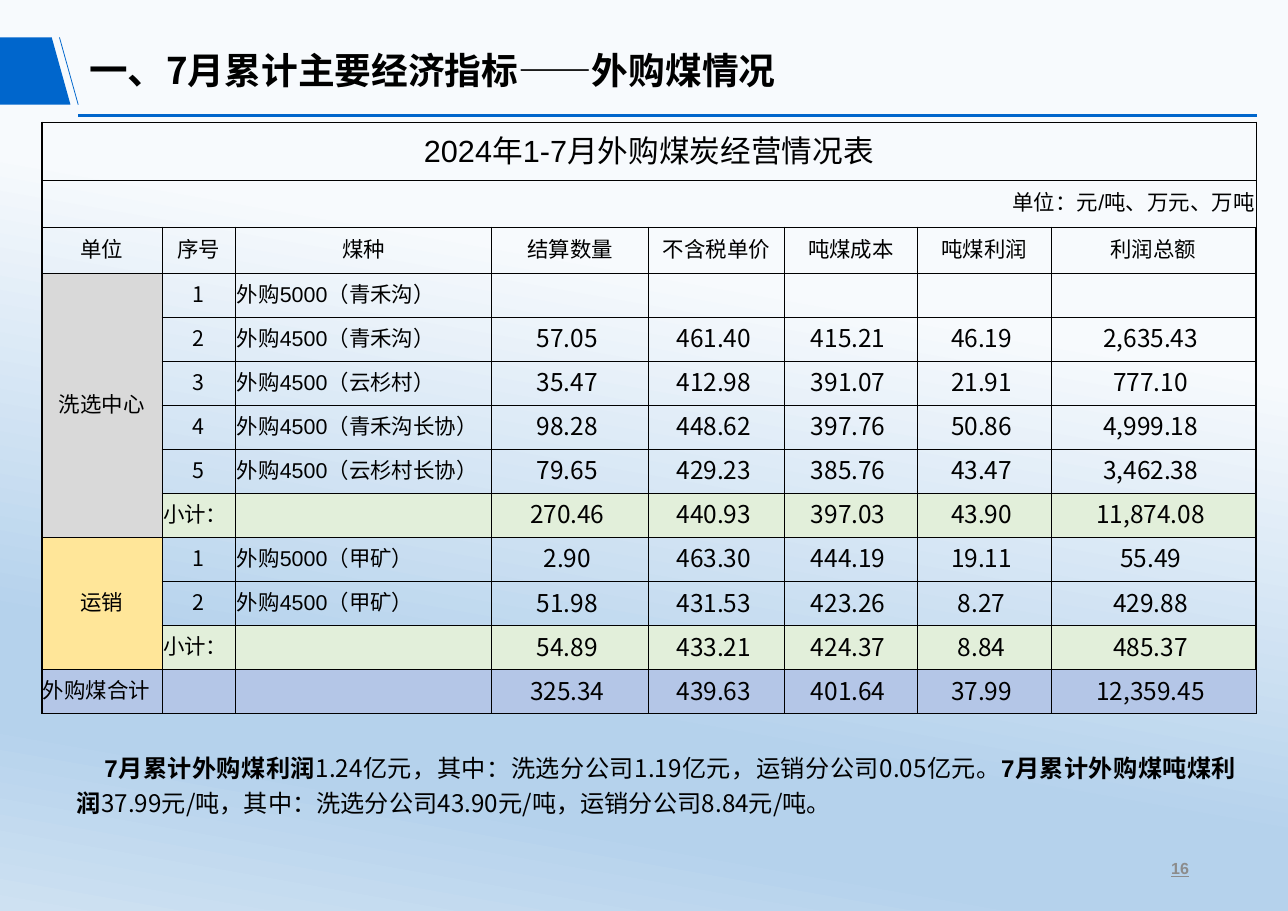
"""Builds the slide on purchased coal results for January to July 2024."""
from lxml.etree import SubElement
from pptx import Presentation
from pptx.dml.color import RGBColor
from pptx.enum.shapes import MSO_CONNECTOR
from pptx.enum.text import MSO_ANCHOR, PP_ALIGN
from pptx.oxml.ns import qn
from pptx.util import Inches, Pt

COLORS = {
    "black": "000000", "blue": "0066CC", "page": "8C8C8C", "washing": "D9D9D9",
    "transport": "FFE699", "subtotal": "E2EFDA", "total": "B4C6E7",
}
BACKGROUND_STOPS = [(33, "F7FAFD"), (74, "B5D2EC"), (83, "B5D2EC"), (100, "CEE1F2")]
LATIN, CHINESE = "Arial", "Noto Sans CJK SC"
COLUMN_WIDTHS = [1.09, 0.67, 2.32, 1.43, 1.23, 1.21, 1.21, 1.86]
ROW_HEIGHTS = [0.53, 0.42, 0.42] + [0.4] * 10
TABLE_ROWS = [
    ["2024年1-7月外购煤炭经营情况表"],
    ["单位：元/吨、万元、万吨"],
    ["单位", "序号", "煤种", "结算数量", "不含税单价", "吨煤成本", "吨煤利润", "利润总额"],
    ["洗选中心", "1", "外购5000（青禾沟）"],
    ["", "2", "外购4500（青禾沟）", "57.05", "461.40", "415.21", "46.19", "2,635.43"],
    ["", "3", "外购4500（云杉村）", "35.47", "412.98", "391.07", "21.91", "777.10"],
    ["", "4", "外购4500（青禾沟长协）", "98.28", "448.62", "397.76", "50.86", "4,999.18"],
    ["", "5", "外购4500（云杉村长协）", "79.65", "429.23", "385.76", "43.47", "3,462.38"],
    ["", "小计：", "", "270.46", "440.93", "397.03", "43.90", "11,874.08"],
    ["运销", "1", "外购5000（甲矿）", "2.90", "463.30", "444.19", "19.11", "55.49"],
    ["", "2", "外购4500（甲矿）", "51.98", "431.53", "423.26", "8.27", "429.88"],
    ["", "小计：", "", "54.89", "433.21", "424.37", "8.84", "485.37"],
    ["外购煤合计", "", "", "325.34", "439.63", "401.64", "37.99", "12,359.45"],
]
MERGES = [((0, 0), (0, 7)), ((1, 0), (1, 7)), ((3, 0), (8, 0)), ((9, 0), (11, 0))]
LAST_ROW, LAST_COLUMN = len(ROW_HEIGHTS) - 1, len(COLUMN_WIDTHS) - 1


def color(name):
    return RGBColor.from_string(COLORS[name])


def cell_style(row, column, text):
    """Return size, font and alignment of a table cell."""
    if row == 0:
        return 20, LATIN, PP_ALIGN.CENTER
    if row == 1:
        return 14, LATIN, PP_ALIGN.RIGHT
    if row > 2 and column > 2:
        return 16, CHINESE, PP_ALIGN.CENTER
    if row > 2 and (column == 2 or text in ("小计：", "外购煤合计")):
        return 14, LATIN, PP_ALIGN.LEFT
    return 14, CHINESE if text.isdigit() else LATIN, PP_ALIGN.CENTER


def cell_fill(row, column):
    """Return the fill name of a table cell, or None."""
    if row == LAST_ROW:
        return "total"
    if column == 0 and row > 2:
        return "washing" if row < 9 else "transport"
    return "subtotal" if row in (8, 11) else None


class SlideBuilder:
    """Holds the text style and the slide being drawn."""

    def __init__(self, slide):
        self.slide = slide
        self.text_color = "black"

    def background(self, stops, angle):
        fill = self.slide.background.fill
        fill.gradient()
        fill.gradient_angle = 360 - angle
        stop_list = self.slide.element.find(".//" + qn("a:gsLst"))
        stop_list.clear()
        for position, value in stops:
            stop = SubElement(stop_list, qn("a:gs"), pos=str(position * 1000))
            SubElement(stop, qn("a:srgbClr"), val=value)

    def outline(self, points, fill):
        points = [(Inches(x), Inches(y)) for x, y in points]
        builder = self.slide.shapes.build_freeform(*points[0])
        builder.add_line_segments(points[1:], close=True)
        shape = builder.convert_to_shape()
        shape.shadow.inherit = False
        shape.fill.solid()
        shape.fill.fore_color.rgb = color(fill)
        shape.line.fill.background()

    def line(self, start, end, width):
        ends = [Inches(value) for value in (*start, *end)]
        connector = self.slide.shapes.add_connector(MSO_CONNECTOR.STRAIGHT, *ends)
        connector.line.color.rgb = color("blue")
        connector.line.width = Pt(width)
        SubElement(connector.element.spPr, qn("a:effectLst"))

    def style(self, paragraph, size, font, align, bold=None, text_color=None):
        paragraph.alignment = align
        paragraph.font.size = Pt(size)
        paragraph.font.name = font
        paragraph.font.bold = bold
        paragraph.font.color.rgb = color(text_color or self.text_color)

    def text_box(self, box, anchor=MSO_ANCHOR.TOP):
        shape = self.slide.shapes.add_textbox(*[Inches(value) for value in box])
        shape.text_frame.word_wrap = True
        shape.text_frame.vertical_anchor = anchor
        return shape.text_frame.paragraphs[0]

    def title(self, box, number, text):
        paragraph = self.text_box(box, MSO_ANCHOR.MIDDLE)
        self.style(paragraph, 24, CHINESE, PP_ALIGN.LEFT, bold=True)
        paragraph.line_spacing = 0.9
        number_run = paragraph.add_run()
        number_run.text = number
        number_run.font.size = Pt(25.2)
        paragraph.add_run().text = text

    def summary(self, box, pairs):
        paragraph = self.text_box(box)
        self.style(paragraph, 15.8, CHINESE, PP_ALIGN.JUSTIFY)
        paragraph.line_spacing = 1.2
        paragraph._p.get_or_add_pPr().set("indent", str(Inches(0.25)))
        for heading, figures in pairs:
            run = paragraph.add_run()
            run.text = heading
            run.font.name = LATIN
            run.font.bold = True
            paragraph.add_run().text = figures

    def page_number(self, box, text):
        paragraph = self.text_box(box, MSO_ANCHOR.MIDDLE)
        self.style(paragraph, 10.5, LATIN, PP_ALIGN.RIGHT, True, "page")
        paragraph.font.underline = True
        paragraph.add_run().text = text

    def borders(self, cell, row, column):
        outer_edges = {
            "a:lnL": column == 0,
            "a:lnR": column == LAST_COLUMN and row < LAST_ROW,
            "a:lnT": row == 0,
            "a:lnB": row == LAST_ROW,
        }
        properties = cell._tc.get_or_add_tcPr()
        for tag, outer in outer_edges.items():
            edge = SubElement(properties, qn(tag), w=str(Pt(1 if outer else 0.5)))
            solid = SubElement(edge, qn("a:solidFill"))
            SubElement(solid, qn("a:srgbClr"), val=COLORS["black"])

    def cell(self, cell, row, column, text):
        cell.margin_left = cell.margin_top = cell.margin_right = Inches(0.01)
        cell.margin_bottom = Inches(0.05)
        cell.vertical_anchor = MSO_ANCHOR.MIDDLE
        if row > 2 and column > 2:
            cell.margin_right = Inches(0.06)
        self.borders(cell, row, column)
        fill = cell_fill(row, column)
        if fill:
            cell.fill.solid()
            cell.fill.fore_color.rgb = color(fill)
        else:
            cell.fill.background()
        paragraph = cell.text_frame.paragraphs[0]
        self.style(paragraph, *cell_style(row, column, text))
        if text:
            paragraph.add_run().text = text

    def table(self, left, top, rows):
        size = (Inches(sum(COLUMN_WIDTHS)), Inches(sum(ROW_HEIGHTS)))
        frame = self.slide.shapes.add_table(
            len(ROW_HEIGHTS), len(COLUMN_WIDTHS), Inches(left), Inches(top), *size)
        table = frame.table
        table.first_row = table.horz_banding = False
        for column, width in zip(table.columns, COLUMN_WIDTHS):
            column.width = Inches(width)
        for row, height in zip(table.rows, ROW_HEIGHTS):
            row.height = Inches(height)
        for row, texts in enumerate(rows):
            for column in range(len(COLUMN_WIDTHS)):
                text = texts[column] if column < len(texts) else ""
                self.cell(table.cell(row, column), row, column, text)
        for first, last in MERGES:
            table.cell(*first).merge(table.cell(*last))


def main():
    presentation = Presentation()
    presentation.slide_width = Inches(11.69)
    presentation.slide_height = Inches(8.27)
    builder = SlideBuilder(presentation.slides.add_slide(presentation.slide_layouts[6]))
    builder.background(BACKGROUND_STOPS, 100)
    builder.outline([(0, 0.34), (0.47, 0.34), (0.64, 0.95), (0, 0.95)], "blue")
    builder.line((0.54, 0.34), (0.71, 0.95), 0.5)
    builder.line((0.71, 1.05), (11.41, 1.05), 2.25)
    builder.title((0.71, 0.36, 7.55, 0.59), "一、", "7月累计主要经济指标——外购煤情况")
    builder.page_number((8.26, 7.66, 2.63, 0.44), "16")
    builder.summary((0.6, 6.74, 10.72, 0.93), [
        ("7月累计外购煤利润", "1.24亿元，其中：洗选分公司1.19亿元，运销分公司0.05亿元。"),
        ("7月累计外购煤吨煤利润", "37.99元/吨，其中：洗选分公司43.90元/吨，运销分公司8.84元/吨。"),
    ])
    builder.table(0.38, 1.11, TABLE_ROWS)
    presentation.save("out.pptx")


if __name__ == "__main__":
    main()
